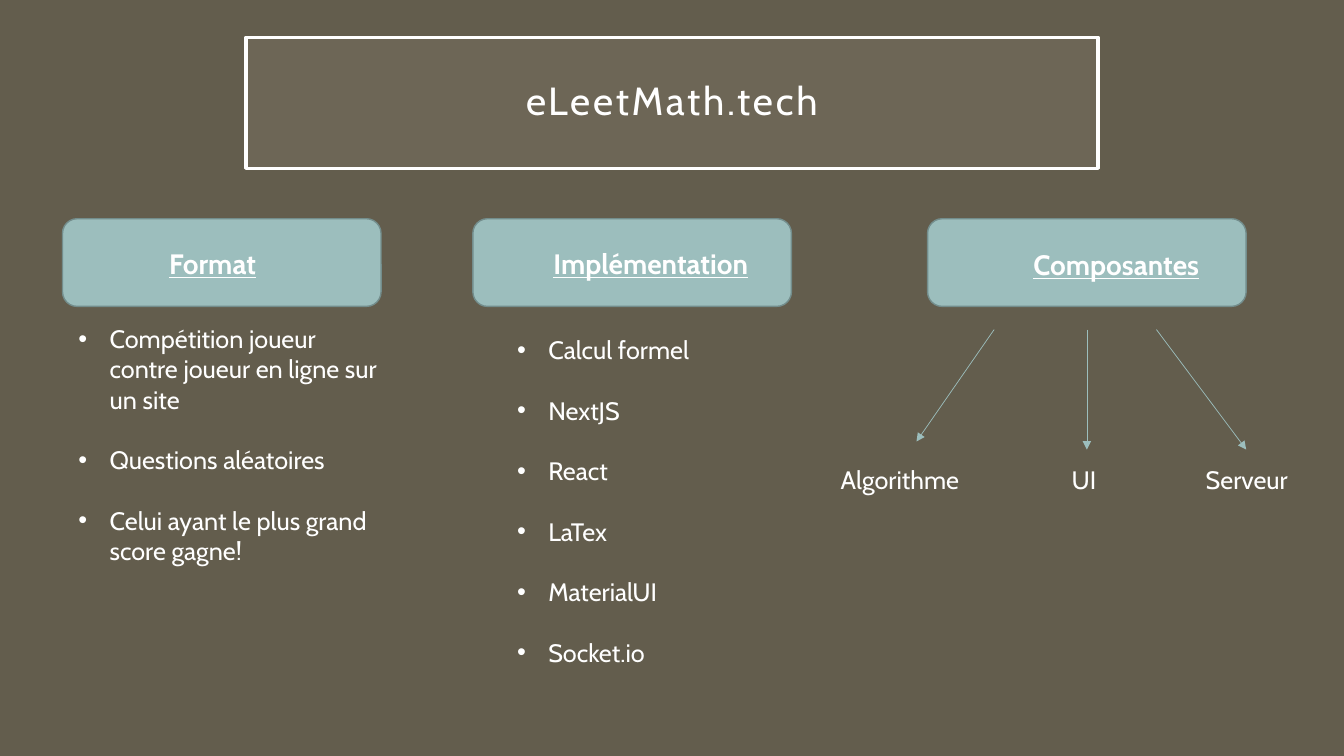
from typing import NamedTuple

from lxml import etree
from pptx import Presentation, util as u
from pptx.dml.color import RGBColor
from pptx.enum import shapes, text
from pptx.oxml import ns

HEX = {"back": "635D4D", "frame": "A7A08E", "white": "FFFFFF",
       "teal": "9CBEBD", "edge": "738D8C"}
FONT = "Cabin"
INDENT = 0.31
GAP = 21.6  # one text line, in points


class Head(NamedTuple):
    left: float
    label: str
    x: float
    y: float
    width: float


class Items(NamedTuple):
    x: float
    y: float
    width: float
    height: float
    lines: tuple[str, ...]


class Branch(NamedTuple):
    label: str
    x: float
    width: float
    start: float
    end: float
    tip: float


HEADS = [
    Head(0.62, "Format", 1.58, 2.4, 1.23),
    Head(4.69, "Implémentation", 5.39, 2.4, 2.36),
    Head(9.2, "Composantes", 10.15, 2.41, 2.02),
]
LISTS = [
    Items(0.68, 3.16, 3.16, 2.83, (
        "Compétition joueur contre joueur en ligne sur un site",
        "Questions aléatoires",
        "Celui ayant le plus grand score gagne!")),
    Items(5.03, 3.27, 2.36, 3.43, (
        "Calcul formel", "NextJS", "React", "LaTex", "MaterialUI", "Socket.io")),
]
PARTS = [
    Branch("Algorithme", 8.24, 1.61, 9.86, 9.09, 4.38),
    Branch("UI", 10.53, 0.51, 10.78, 10.78, 4.46),
    Branch("Serveur", 11.86, 1.12, 11.47, 12.36, 4.46),
]


def color(name: str) -> RGBColor:
    return RGBColor.from_string(HEX[name])


def add_tag(parent, tag: str, **attrs: str):
    return etree.SubElement(parent, ns.qn(tag), attrs)


def write(frame, *lines: str, size: float = 18, bold: bool = False,
          under: bool = False, bullet: bool = False, track: float = 0,
          align=text.PP_ALIGN.LEFT, space: float | None = None) -> None:
    frame.word_wrap = True
    for i, line in enumerate(lines):
        par = frame.paragraphs[0] if i == 0 else frame.add_paragraph()
        par.alignment = align
        if space:
            par.line_spacing = space
        if i:
            par.space_before = u.Pt(GAP)
        if bullet:
            props = par._p.get_or_add_pPr()
            props.set("marL", str(u.Inches(INDENT)))
            props.set("indent", str(-u.Inches(INDENT)))
            add_tag(props, "a:buFont", typeface="Arial")
            add_tag(props, "a:buChar", char="•")
        run = par.add_run()
        run.text = line
        font = run.font
        font.name, font.size, font.bold = FONT, u.Pt(size), bold
        font.underline = under
        font.color.rgb = color("white")
        if track:
            run._r.get_or_add_rPr().set("spc", str(int(track * 100)))


def add_box(slide, kind, x: float, y: float, width: float, height: float,
            fill: str, line: str, weight: float):
    box = slide.shapes.add_shape(kind, *map(u.Inches, (x, y, width, height)))
    box.shadow.inherit = False
    box.fill.solid()
    box.fill.fore_color.rgb = color(fill)
    box.line.color.rgb = color(line)
    box.line.width = u.Pt(weight)
    return box


def add_text(slide, x: float, y: float, width: float, height: float,
             *lines: str, **style) -> None:
    box = slide.shapes.add_textbox(*map(u.Inches, (x, y, width, height)))
    write(box.text_frame, *lines, **style)
    box.text_frame.auto_size = text.MSO_AUTO_SIZE.SHAPE_TO_FIT_TEXT


def add_title(slide) -> None:
    box = add_box(slide, shapes.MSO_SHAPE.RECTANGLE, 2.44, 0.37, 8.45, 1.3,
                  "frame", "white", 2.5)
    tint = box._element.spPr.find(ns.qn("a:solidFill"))[0]
    add_tag(tint, "a:alpha", val="15000")
    frame = box.text_frame
    frame.margin_left = frame.margin_right = u.Inches(0.2)
    frame.margin_top = frame.margin_bottom = u.Inches(0.2)
    frame.vertical_anchor = text.MSO_ANCHOR.MIDDLE
    write(frame, "eLeetMath.tech", size=28, track=2, space=0.9,
          align=text.PP_ALIGN.CENTER)


def add_head(slide, head: Head) -> None:
    add_box(slide, shapes.MSO_SHAPE.ROUNDED_RECTANGLE, head.left, 2.17,
            3.16, 0.87, "teal", "edge", 1)
    add_text(slide, head.x, head.y, head.width, 0.44, head.label,
             size=20, bold=True, under=True)


def add_branch(slide, part: Branch) -> None:
    ends = map(u.Inches, (part.start, 3.27, part.end, part.tip))
    arrow = slide.shapes.add_connector(shapes.MSO_CONNECTOR.STRAIGHT, *ends)
    arrow.line.color.rgb = color("teal")
    arrow.line.width = u.Pt(0.5)
    add_tag(arrow.line._get_or_add_ln(), "a:tailEnd", type="triangle")
    add_tag(arrow._element.spPr, "a:effectLst")
    add_text(slide, part.x, 4.56, part.width, 0.4, part.label)


def main() -> None:
    deck = Presentation()
    deck.slide_width, deck.slide_height = u.Inches(13.33), u.Inches(7.5)
    slide = deck.slides.add_slide(deck.slide_layouts[6])
    slide.background.fill.solid()
    slide.background.fill.fore_color.rgb = color("back")

    # Title and column heads
    add_title(slide)
    for head in HEADS:
        add_head(slide, head)

    # Bullet lists
    for col in LISTS:
        add_text(slide, col.x, col.y, col.width, col.height, *col.lines,
                 bullet=True)

    # Arrows to the three parts
    for part in PARTS:
        add_branch(slide, part)

    deck.save("out.pptx")


if __name__ == "__main__":
    main()
